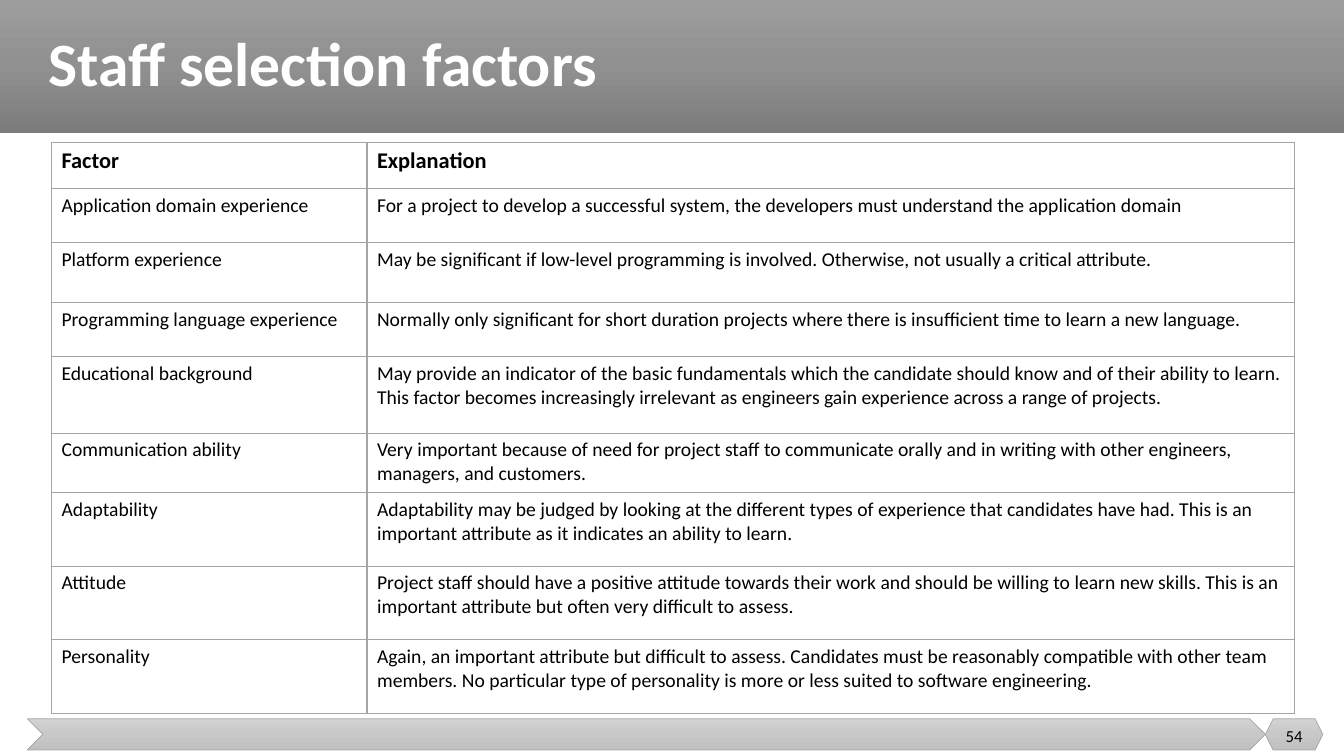
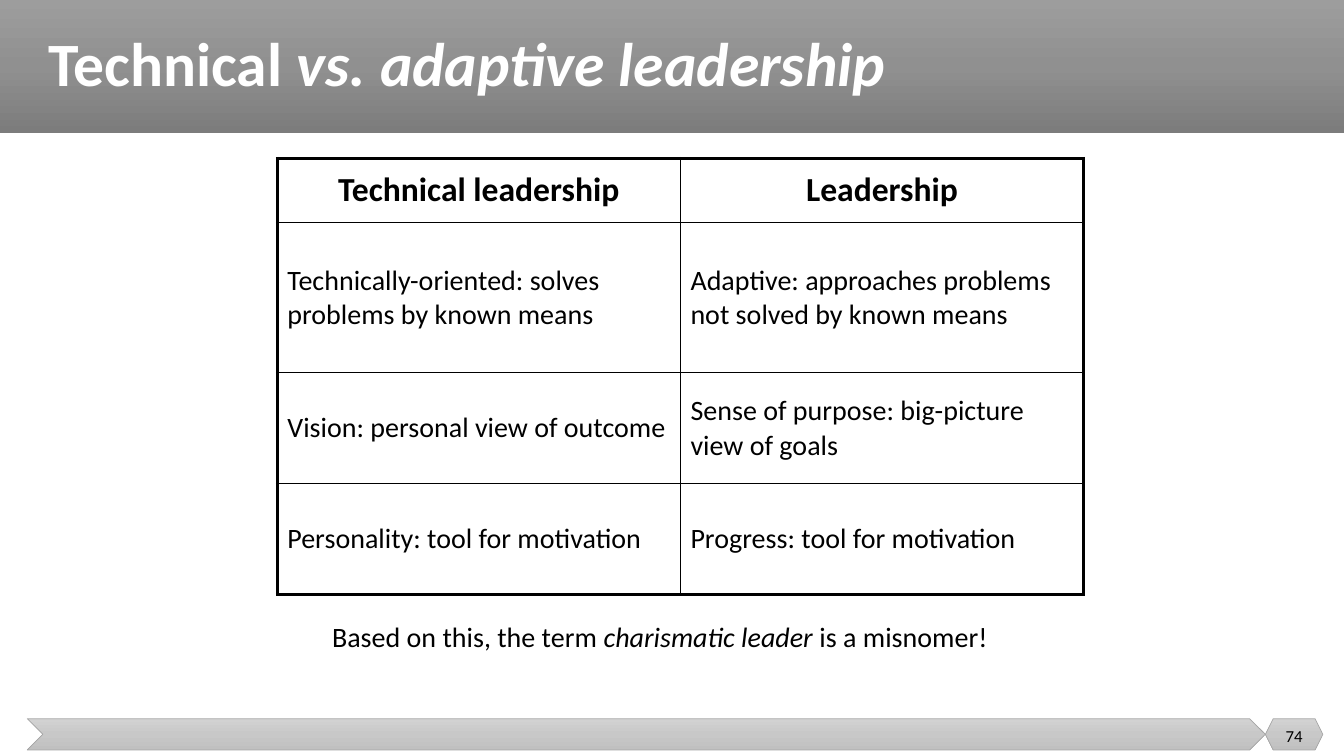
"""Builds two slides on staff selection and leadership, each with a bordered table."""
import lxml.etree
import pptx
import pptx.dml.color
import pptx.enum.shapes
import pptx.enum.text
import pptx.oxml.ns
import pptx.util

RGB = pptx.dml.color.RGBColor
SHAPE = pptx.enum.shapes.MSO_SHAPE
ALIGN = pptx.enum.text.PP_ALIGN
ANCHOR = pptx.enum.text.MSO_ANCHOR
qn = pptx.oxml.ns.qn

BLACK = RGB(0x00, 0x00, 0x00)
WHITE = RGB(0xFF, 0xFF, 0xFF)
GREY = RGB(0xA5, 0xA5, 0xA5)
BAND_SHADES = RGB(0x9D, 0x9D, 0x9D), RGB(0x90, 0x90, 0x90), RGB(0x7C, 0x7C, 0x7C)
FOOTER_SHADES = RGB(0xD2, 0xD2, 0xD2), RGB(0xC8, 0xC8, 0xC8), RGB(0xC0, 0xC0, 0xC0)

FONT = "Calibri"
BAND_HEIGHT = 17.6
FOOTER_TOP, FOOTER_HEIGHT = 95.07, 4.13
NUMBER_LEFT, NUMBER_WIDTH = 94.15, 4.28

FACTORS = [
    ("Factor", "Explanation"),
    ("Application domain experience",
     "For a project to develop a successful system, the developers must understand the application domain"),
    ("Platform experience",
     "May be significant if low-level programming is involved. Otherwise, not usually a critical attribute."),
    ("Programming language experience",
     "Normally only significant for short duration projects where there is insufficient time to learn a new "
     "language."),
    ("Educational background",
     "May provide an indicator of the basic fundamentals which the candidate should know and of their ability "
     "to learn. This factor becomes increasingly irrelevant as engineers gain experience across a range of "
     "projects."),
    ("Communication ability",
     "Very important because of need for project staff to communicate orally and in writing with other "
     "engineers, managers, and customers."),
    ("Adaptability",
     "Adaptability may be judged by looking at the different types of experience that candidates have had. "
     "This is an important attribute as it indicates an ability to learn."),
    ("Attitude",
     "Project staff should have a positive attitude towards their work and should be willing to learn new "
     "skills. This is an important attribute but often very difficult to assess."),
    ("Personality",
     "Again, an important attribute but difficult to assess. Candidates must be reasonably compatible with "
     "other team members. No particular type of personality is more or less suited to software engineering."),
]
LEADERSHIP = [
    ("Technical leadership", "Leadership"),
    ("Technically-oriented: solves problems by known means",
     "Adaptive: approaches problems not solved by known means"),
    ("Vision: personal view of outcome", "Sense of purpose: big-picture view of goals"),
    ("Personality: tool for motivation", "Progress: tool for motivation"),
]


class SlideBuilder:
    """Holds the shared style and the current slide; lengths are percentages of the slide's size."""

    def __init__(self):
        """Start a widescreen deck whose title-only layout carries the bands."""
        self.deck = pptx.Presentation()
        self.deck.slide_width = pptx.util.Inches(13.333)
        self.deck.slide_height = pptx.util.Inches(7.5)
        self.layout = self.deck.slide_layouts[5]
        for holder in list(self.layout.placeholders)[1:]:
            holder.element.getparent().remove(holder.element)
        self.page = None

    def across(self, share):
        """Turn a share of the slide's width into a length."""
        return round(self.deck.slide_width * share / 100)

    def down(self, share):
        """Turn a share of the slide's height into a length."""
        return round(self.deck.slide_height * share / 100)

    def frame(self, left, top, width, height):
        """Turn four shares into a position and a size."""
        return self.across(left), self.down(top), self.across(width), self.down(height)

    def fill_paragraph(self, paragraph, spans, size, color=BLACK, bold=False, align=ALIGN.LEFT):
        """Fill a paragraph with spans, every second one in italics."""
        paragraph.alignment = align
        for index, text in enumerate(spans):
            span = paragraph.add_run()
            span.text = text
            span.font.name = FONT
            span.font.size = pptx.util.Pt(size)
            span.font.bold = bold
            span.font.italic = index % 2 == 1
            span.font.color.rgb = color

    def band(self, kind, area, shades, outline=None):
        """Draw a shaded preset shape."""
        box = self.page.shapes.add_shape(kind, *self.frame(*area))
        box.shadow.inherit = False
        box.fill.gradient()
        box.fill.gradient_angle = 270
        stops = next(box.element.iter(qn("a:gsLst")))
        stops.clear()
        for position, shade in zip((0, 50000, 100000), shades):
            stop = lxml.etree.SubElement(stops, qn("a:gs"), pos=str(position))
            lxml.etree.SubElement(stop, qn("a:srgbClr"), val=str(shade))
        if outline is None:
            box.line.fill.background()
        else:
            box.line.color.rgb = outline
            box.line.width = pptx.util.Pt(0.5)
        return box

    def decorate_layout(self):
        """Draw the title band and the footer and move them to the layout."""
        footer = FOOTER_SHADES, GREY
        bands = [
            self.band(SHAPE.RECTANGLE, (0, 0, 100, BAND_HEIGHT), BAND_SHADES),
            self.band(SHAPE.CHEVRON, (2.03, FOOTER_TOP, 92.12, FOOTER_HEIGHT), *footer),
            self.band(SHAPE.HEXAGON, (NUMBER_LEFT, FOOTER_TOP, NUMBER_WIDTH, FOOTER_HEIGHT), *footer),
        ]
        for box in bands:
            self.layout.shapes.element.append(box.element)

    def start(self, title, number):
        """Open a slide with its title and slide number."""
        first = self.page is None
        self.page = self.deck.slides.add_slide(self.layout)
        if first:
            self.decorate_layout()
        holder = self.page.shapes.title
        holder.left, holder.top, holder.width, holder.height = self.frame(2.85, 0, 95.57, BAND_HEIGHT)
        holder.text_frame.auto_size = pptx.enum.text.MSO_AUTO_SIZE.NONE
        holder.text_frame.vertical_anchor = ANCHOR.MIDDLE
        paragraph = holder.text_frame.paragraphs[0]
        paragraph.line_spacing = 0.9
        self.fill_paragraph(paragraph, title, 44, WHITE, bold=True)
        self.text((NUMBER_LEFT, 94.67, NUMBER_WIDTH, 5.33), [str(number)], 12, anchor=ANCHOR.MIDDLE)

    def text(self, area, spans, size, anchor=ANCHOR.TOP, wrap=True):
        """Add a centred text box."""
        box = self.page.shapes.add_textbox(*self.frame(*area))
        box.text_frame.word_wrap = wrap
        box.text_frame.vertical_anchor = anchor
        self.fill_paragraph(box.text_frame.paragraphs[0], spans, size, align=ALIGN.CENTER)

    def border(self, cell, color, widths):
        """Draw the left, right, top and bottom borders of a cell."""
        properties = cell._tc.get_or_add_tcPr()
        for side, width in zip("LRTB", widths):
            line = lxml.etree.SubElement(properties, qn(f"a:ln{side}"), w=str(pptx.util.Pt(width)))
            fill = lxml.etree.SubElement(line, qn("a:solidFill"))
            lxml.etree.SubElement(fill, qn("a:srgbClr"), val=str(color))

    def table(self, left, top, columns, rows, content, sizes, color, outer=1,
              anchor=ANCHOR.TOP, head_align=ALIGN.LEFT):
        """Add a table with a bold head row, thin inner and chosen outer borders."""
        area = self.frame(left, top, sum(columns), sum(rows))
        table = self.page.shapes.add_table(len(rows), len(columns), *area).table
        table.first_row = table.horz_banding = False
        for column, width in zip(table.columns, columns):
            column.width = self.across(width)
        for y, (row, height) in enumerate(zip(table.rows, rows)):
            row.height = self.down(height)
            head = y == 0
            for x, cell in enumerate(row.cells):
                edges = x == 0, x == len(columns) - 1, head, y == len(rows) - 1
                self.border(cell, color, [outer if edge else 1 for edge in edges])
                cell.fill.background()
                cell.vertical_anchor = anchor
                self.fill_paragraph(cell.text_frame.paragraphs[0], [content[y][x]], sizes[0 if head else 1],
                                    bold=head, align=head_align if head else ALIGN.LEFT)
        return table

    def veil(self, table, opacity):
        """Lay a translucent white over the cells below the head row."""
        for row in list(table.rows)[1:]:
            for cell in row.cells:
                cell.fill.solid()
                cell.fill.fore_color.rgb = WHITE
                shade = cell._tc.tcPr.find(qn("a:solidFill"))[0]
                lxml.etree.SubElement(shade, qn("a:alpha"), val=str(opacity * 1000))


def main():
    """Build and save both slides."""
    builder = SlideBuilder()

    builder.start(["Staff selection factors"], 54)
    builder.table(3.83, 18.8, (23.48, 69.02), (6.13, 7.2, 7.87, 7.2, 10.13, 7.87, 9.73, 9.73, 9.73),
                  FACTORS, (16, 14), GREY)

    builder.start(["Technical ", "vs. adaptive leadership"], 74)
    table = builder.table(20.63, 20.93, (30, 30), (8.53, 19.87, 14.67, 14.67), LEADERSHIP, (24, 20), BLACK,
                          outer=2.25, anchor=ANCHOR.MIDDLE, head_align=ALIGN.CENTER)
    builder.veil(table, 43)
    builder.text((23.33, 81.33, 51.54, 5.87),
                 ["Based on this, the term ", "charismatic leader", " is a misnomer!"], 20, wrap=False)

    builder.deck.save("out.pptx")


if __name__ == "__main__":
    main()
